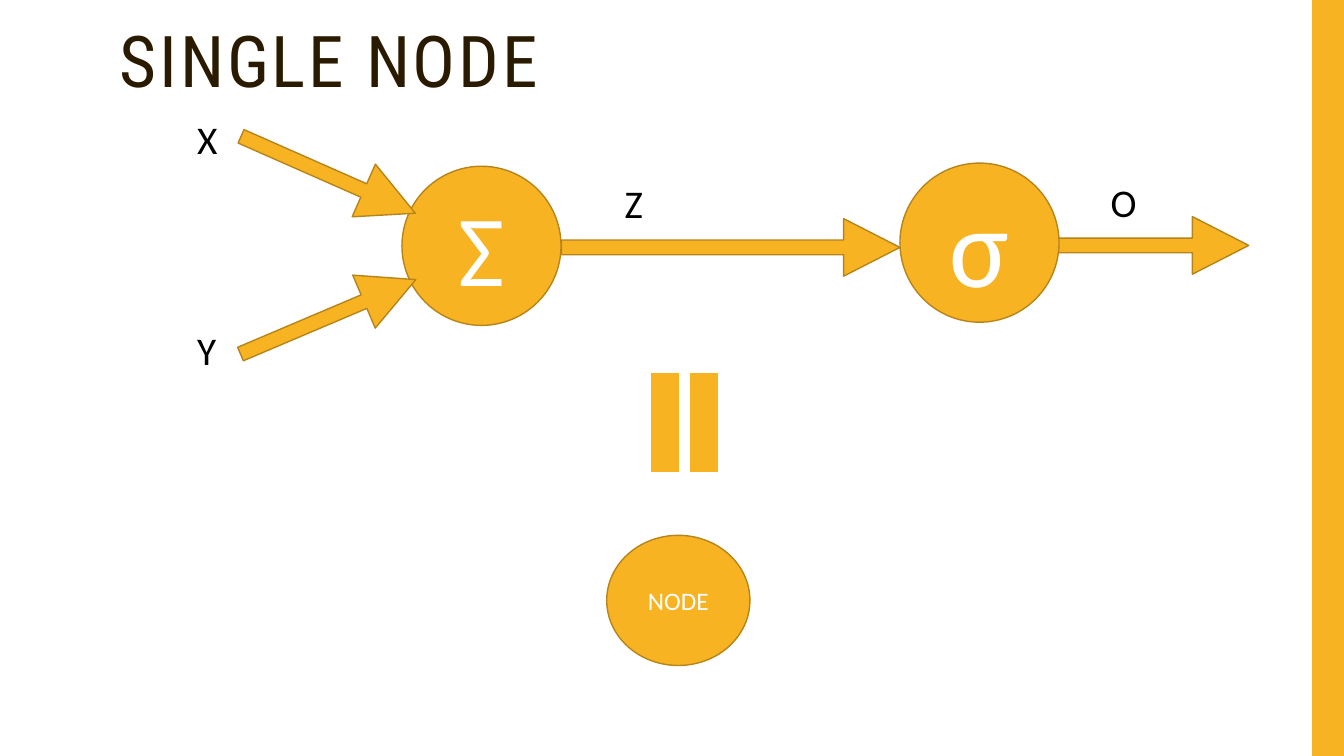
from dataclasses import dataclass

from pptx import Presentation
from pptx.dml.color import RGBColor
from pptx.enum.shapes import MSO_CONNECTOR, MSO_SHAPE
from pptx.enum.text import MSO_ANCHOR, MSO_AUTO_SIZE, PP_ALIGN
from pptx.oxml.ns import qn
from pptx.util import Cm, Pt


@dataclass(frozen=True)
class Theme:
    amber: RGBColor = RGBColor(0xF8, 0xB3, 0x23)
    outline: RGBColor = RGBColor(0xB7, 0x84, 0x1A)
    heading: RGBColor = RGBColor(0x2A, 0x1A, 0x00)
    black: RGBColor = RGBColor(0, 0, 0)
    white: RGBColor = RGBColor(0xFF, 0xFF, 0xFF)
    heading_font: str = "Roboto Condensed"
    body_font: str = "Calibri"
    heading_size: int = 51
    sum_size: int = 72
    sigma_size: int = 80
    label_size: int = 28
    node_size: int = 18


THEME = Theme()


def apply_format(target, values):
    for name, value in values.items():
        setattr(target, name, value)


def write(frame, words, size, color, font=THEME.body_font):
    run = frame.paragraphs[0].add_run()
    run.text = words
    apply_format(run.font, {"name": font, "size": Pt(size)})
    run.font.color.rgb = color
    return run


def add_filled(slide, preset, box, outlined=True):
    shape = slide.shapes.add_shape(preset, *map(Cm, box))
    shape.shadow.inherit = False
    shape.fill.solid()
    shape.fill.fore_color.rgb = THEME.amber
    if outlined:
        shape.line.color.rgb = THEME.outline
        shape.line.width = Pt(1)
    else:
        shape.line.fill.background()
    return shape


def add_circle(slide, box, words, size):
    frame = add_filled(slide, MSO_SHAPE.OVAL, box).text_frame
    apply_format(frame, {"vertical_anchor": MSO_ANCHOR.MIDDLE, "word_wrap": True})
    frame.paragraphs[0].alignment = PP_ALIGN.CENTER
    write(frame, words, size, THEME.white)


def add_arrow(slide, left, top, length=4.8, rotation=0):
    arrow = add_filled(slide, MSO_SHAPE.RIGHT_ARROW, (left, top, length, 1.45))
    arrow.rotation = rotation
    arrow.adjustments[0] = 0.255
    arrow.adjustments[1] = 0.978


def add_label(slide, words, left, top, width):
    frame = slide.shapes.add_textbox(*map(Cm, (left, top, width, 1.45))).text_frame
    apply_format(frame, {"word_wrap": False,
                         "auto_size": MSO_AUTO_SIZE.SHAPE_TO_FIT_TEXT})
    write(frame, words, THEME.label_size, THEME.black)


def add_title(slide, words):
    frame = slide.shapes.add_textbox(Cm(2.77), Cm(0.53), Cm(26.09), Cm(2.64)).text_frame
    apply_format(frame, {"word_wrap": True, "vertical_anchor": MSO_ANCHOR.TOP})
    frame.paragraphs[0].line_spacing = 0.9
    run = write(frame, words, THEME.heading_size, THEME.heading, THEME.heading_font)
    run._r.get_or_add_rPr().set("spc", "200")


def add_bar(slide, x, top, bottom):
    bar = slide.shapes.add_connector(
        MSO_CONNECTOR.STRAIGHT, Cm(x), Cm(top), Cm(x), Cm(bottom))
    bar.line.color.rgb = THEME.amber
    bar.line.width = Pt(20)
    properties = bar._element.spPr
    properties.append(properties.makeelement(qn("a:effectLst"), {}))


def main():
    deck = Presentation()
    apply_format(deck, {"slide_width": Cm(33.87), "slide_height": Cm(19.05)})
    slide = deck.slides.add_slide(deck.slide_layouts[6])

    # Side band and title
    add_filled(slide, MSO_SHAPE.RECTANGLE, (33.07, 0, 0.8, 19.05), outlined=False)
    add_title(slide, "SINGLE NODE")

    # Summation with its two inputs
    add_circle(slide, (10.13, 4.19, 4.01, 4.01), "Σ", THEME.sum_size)
    for input_top, rotation in ((7.26, 337), (3.68, 23.8)):
        add_arrow(slide, 5.87, input_top, rotation=rotation)

    # Activation with its output, fed by the sum
    add_arrow(slide, 26.67, 5.46)
    add_circle(slide, (22.68, 4.11, 4.01, 4.01), "σ", THEME.sigma_size)
    add_arrow(slide, 14.15, 5.51, length=8.53)

    # Signal names
    for signal in (("Y", 4.72, 8.1, 1.12), ("X", 4.72, 2.77, 1.22),
                   ("Z", 15.49, 4.39, 1.17), ("O", 27.74, 4.37, 1.32)):
        add_label(slide, *signal)

    # Upright equals sign and the combined node
    for equals_x in (16.76, 17.74):
        add_bar(slide, equals_x, 9.4, 11.9)
    add_circle(slide, (15.29, 13.49, 3.61, 3.28), "NODE", THEME.node_size)

    deck.save("out.pptx")


main()
